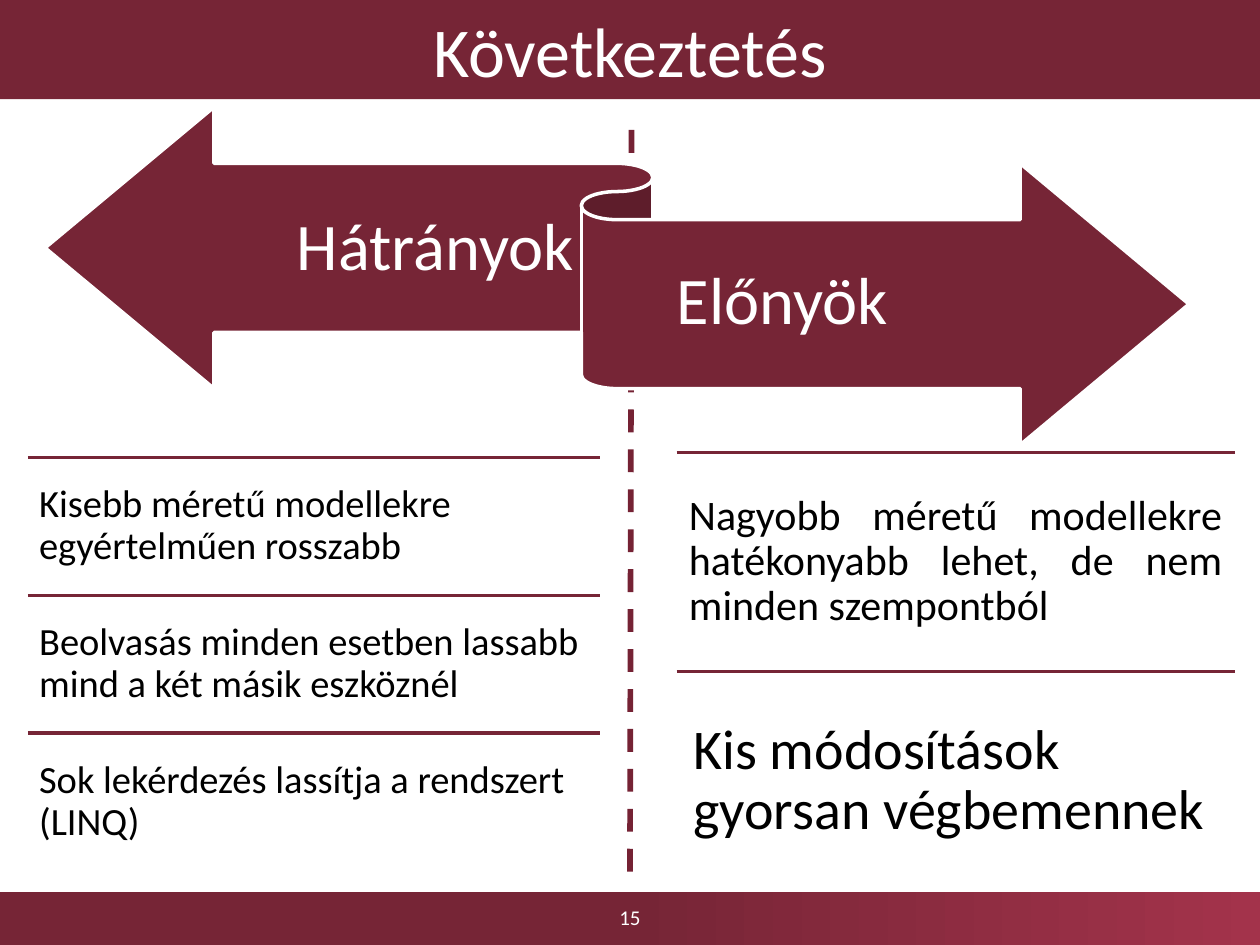
from dataclasses import dataclass

from lxml.etree import SubElement
from pptx import Presentation
from pptx.dml.color import RGBColor
from pptx.enum.dml import MSO_LINE
from pptx.enum.shapes import MSO_CONNECTOR, MSO_SHAPE
from pptx.enum.text import MSO_ANCHOR, PP_ALIGN
from pptx.oxml.ns import qn
from pptx.util import Cm, Pt


@dataclass(frozen=True)
class Theme:
    font: str = "Calibri"
    wine: RGBColor = RGBColor(0x76, 0x25, 0x36)
    divider: RGBColor = RGBColor(0x75, 0x22, 0x34)
    light_wine: RGBColor = RGBColor(0xA3, 0x33, 0x4B)
    white: RGBColor = RGBColor(0xFF, 0xFF, 0xFF)
    black: RGBColor = RGBColor(0, 0, 0)
    title_size: int = 40
    arrow_size: int = 38
    large_size: int = 32
    medium_size: int = 24
    small_size: int = 22
    number_size: int = 12


class SlideBuilder:
    def __init__(self, slide, theme):
        self.slide = slide
        self.theme = theme

    def shape(self, kind, left, top, width, height):
        shape = self.slide.shapes.add_shape(
            kind, Cm(left), Cm(top), Cm(width), Cm(height))
        shape.shadow.inherit = False
        shape.fill.solid()
        shape.fill.fore_color.rgb = self.theme.wine
        shape.line.fill.background()
        return shape

    def label(self, shape, text, size, color, align, spacing=1.0, insets=None):
        frame = shape.text_frame
        frame.text = text
        frame.word_wrap = True
        frame.vertical_anchor = MSO_ANCHOR.MIDDLE
        if insets:
            horizontal, vertical = insets
            frame.margin_left = frame.margin_right = Cm(horizontal)
            frame.margin_top = frame.margin_bottom = Cm(vertical)
        paragraph = frame.paragraphs[0]
        paragraph.alignment = align
        paragraph.line_spacing = spacing
        font = paragraph.runs[0].font
        font.name, font.size, font.color.rgb = self.theme.font, Pt(size), color

    def text(self, left, top, width, height, *content, **layout):
        box = self.slide.shapes.add_textbox(
            Cm(left), Cm(top), Cm(width), Cm(height))
        self.label(box, *content, **layout)

    def line(self, start, end, color, width, dash=None):
        line = self.slide.shapes.add_connector(
            MSO_CONNECTOR.STRAIGHT, *map(Cm, start + end))
        line.line.color.rgb = color
        line.line.width = Pt(width)
        if dash:
            line.line.dash_style = dash
        SubElement(line._element.spPr, qn("a:effectLst"))

    def ruled_list(self, left, top, width, row_height, items):
        for index, (text, size, align, inset) in enumerate(items):
            row_top = top + index * row_height
            self.line((left, row_top), (left + width, row_top), self.theme.wine, 2)
            self.text(left, row_top, width, row_height, text, size,
                      self.theme.black, align, spacing=0.9, insets=(inset, inset))


def main():
    presentation = Presentation()
    presentation.slide_width, presentation.slide_height = Cm(25.4), Cm(19.05)
    slide = presentation.slides.add_slide(presentation.slide_layouts[6])
    theme = Theme()
    builder = SlideBuilder(slide, theme)

    # Footer band
    footer = builder.shape(MSO_SHAPE.RECTANGLE, 0, 17.98, 25.4, 1.07)
    footer.fill.gradient()
    footer.fill.gradient_angle = 0
    stops = ((0.5, theme.wine), (1, theme.light_wine))
    for stop, (position, color) in zip(footer.fill.gradient_stops, stops):
        stop.position = position
        stop.color.rgb = color

    # Divider, title and slide number
    builder.line((12.73, 2.62), (12.7, 17.63), theme.divider, 3.25, MSO_LINE.DASH)
    title = builder.shape(MSO_SHAPE.RECTANGLE, 0, 0, 25.4, 2)
    builder.label(title, "Következtetés", theme.title_size, theme.white,
                  PP_ALIGN.CENTER)
    builder.text(9.85, 17.98, 5.7, 1.02, "15", theme.number_size, theme.white,
                 PP_ALIGN.CENTER)

    # Two-way ribbon with its labels
    ribbon = builder.shape(MSO_SHAPE.LEFT_RIGHT_RIBBON, 0.91, 2.16, 23.06, 6.81)
    ribbon.line.color.rgb = theme.white
    ribbon.line.width = Pt(2)
    labels = (("Hátrányok", 5.97, 3.35, 5.61), ("Előnyök", 12.45, 4.45, 6.65))
    for label, left, top, width in labels:
        builder.text(left, top, width, 3.33, label, theme.arrow_size, theme.white,
                     PP_ALIGN.CENTER, spacing=0.9, insets=(0, 0.4))

    # Advantages
    builder.ruled_list(13.64, 9.12, 11.25, 4.42, (
        ("Nagyobb méretű modellekre hatékonyabb lehet, de nem minden szempontból",
         theme.medium_size, PP_ALIGN.JUSTIFY, 0.25),
        ("Kis módosítások gyorsan végbemennek",
         theme.large_size, PP_ALIGN.LEFT, 0.34),
    ))

    # Disadvantages
    drawbacks = (
        "Kisebb méretű modellekre egyértelműen rosszabb",
        "Beolvasás minden esetben lassabb mind a két másik eszköznél",
        "Sok lekérdezés lassítja a rendszert (LINQ)",
    )
    builder.ruled_list(0.56, 9.22, 11.53, 2.78, [
        (text, theme.small_size, PP_ALIGN.LEFT, 0.23) for text in drawbacks])

    presentation.save("out.pptx")


if __name__ == "__main__":
    main()
